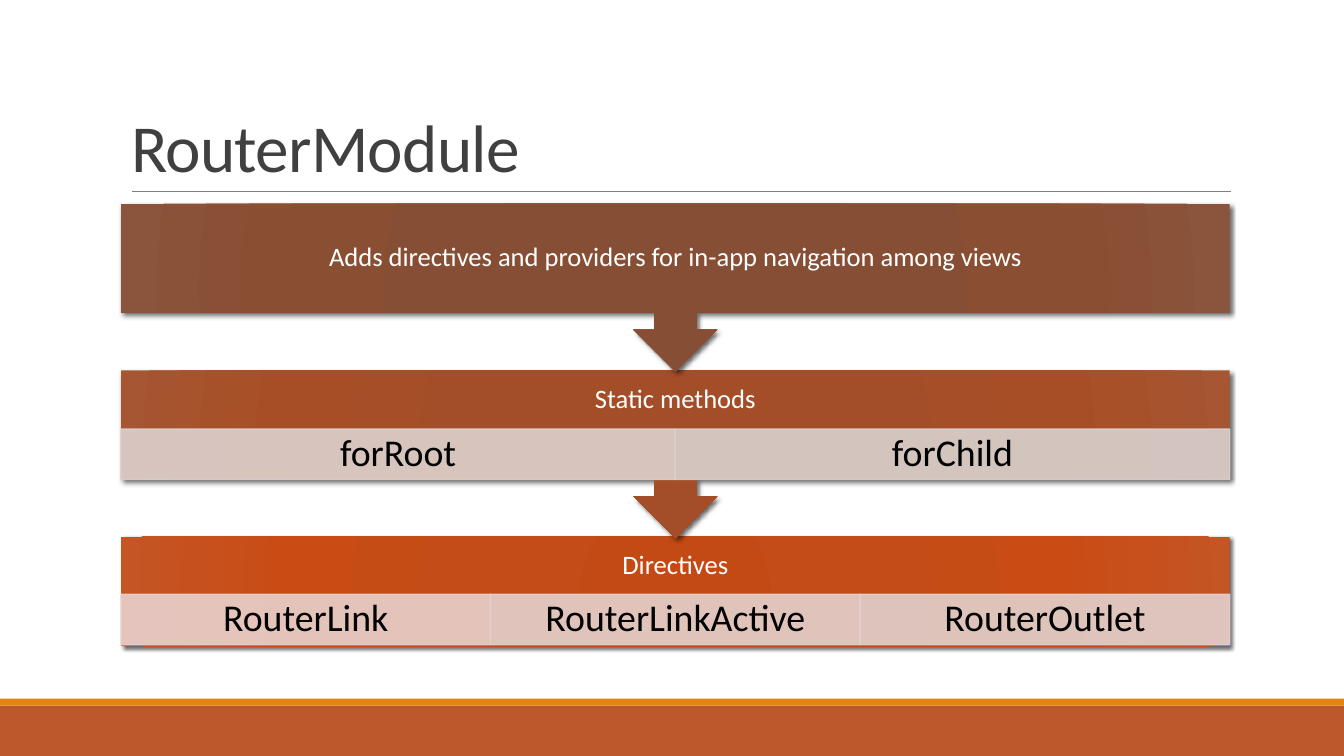
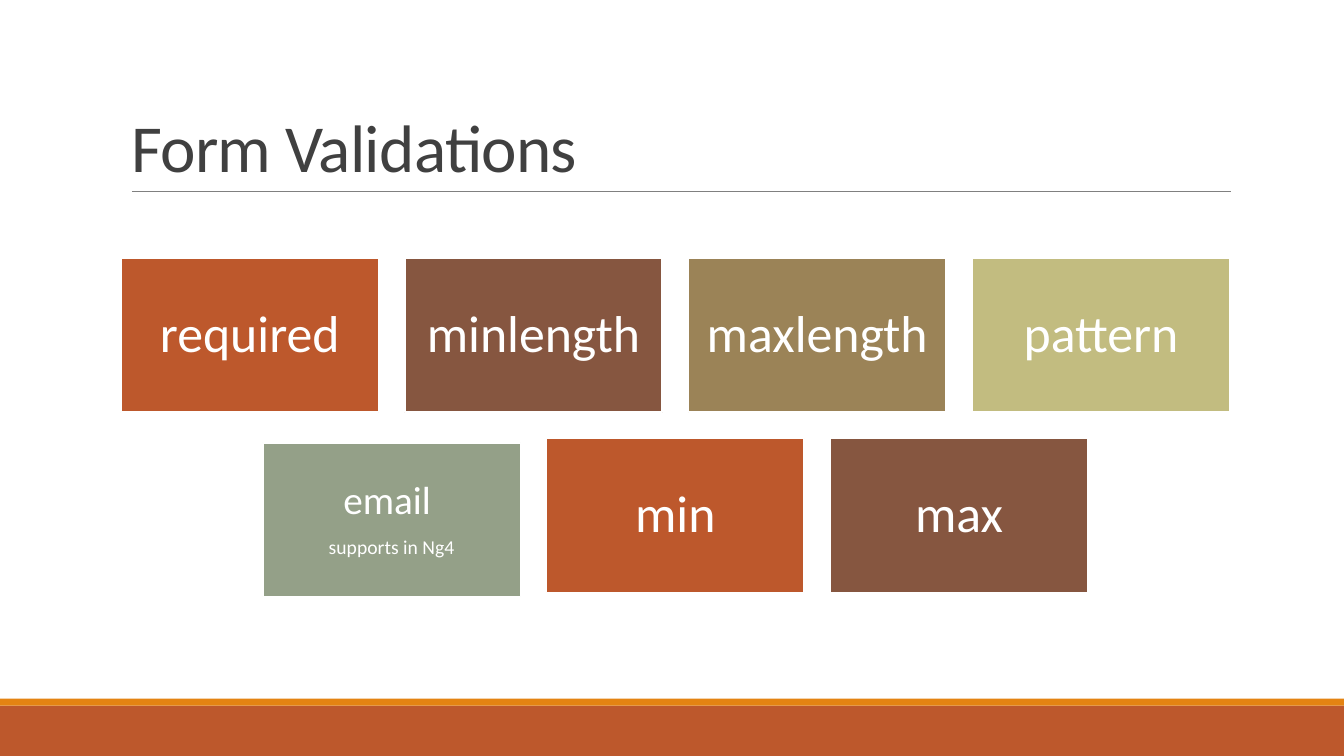
from lxml.etree import SubElement
from pptx import Presentation
from pptx.dml.color import RGBColor
from pptx.enum.shapes import MSO_CONNECTOR as Connector, MSO_SHAPE as Preset
from pptx.enum.text import MSO_ANCHOR as Anchor, MSO_AUTO_SIZE as AutoSize, PP_ALIGN as Align
from pptx.oxml.ns import qn
from pptx.util import Pt

FONT = "Calibri"
COLORS = {
    "title": "404040", "rule": "808080", "stripe": "E48312",
    "rust": "BD582C", "brown": "865640", "tan": "9B8357",
    "olive": "C2BC80", "sage": "94A088",
    "white": "FFFFFF", "black": "000000",
}
SLIDE_WIDTH, SLIDE_HEIGHT = 960, 540
LEFT, WIDTH = 86.4, 792
BODY_HEIGHT, CALLOUT_HEIGHT, CELL_HEIGHT = 78, 120, 36
STEP_TOP, STEP_PITCH = 145.5, 119
TILE_WIDTH, TILE_HEIGHT, TILE_TOP = 184, 110, 184.5

STEPS = [
    (Preset.DOWN_ARROW_CALLOUT, BODY_HEIGHT,
     "Adds directives and providers for in-app navigation among views",
     ["874C32", "864E34", "8A4E33", "8A553C"], []),
    (Preset.DOWN_ARROW_CALLOUT, 42, "Static methods",
     ["A44C25", "A34E28", "A84E26", "A65632"],
     [("forRoot", "DDD1CE"), ("forChild", "D9D1CF")]),
    (Preset.RECTANGLE, 41, "Directives",
     ["C44A15", "C34C18", "C94C15", "C45525"],
     [("RouterLink", "E8D1CD"), ("RouterLinkActive", "E4D1CD"), ("RouterOutlet", "E1D1CE")]),
]
TILE_ROWS = [
    [("rust", [("required", 37)], 0), ("brown", [("minlength", 37)], 0),
     ("tan", [("maxlength", 37)], 0), ("olive", [("pattern", 37)], 0)],
    [("sage", [("email ", 28), ("supports in Ng4", 14)], 3),
     ("rust", [("min", 37)], 0), ("brown", [("max", 37)], 0)],
]


def rgb(value):
    return RGBColor.from_string(value)


def add_box(page, preset, left, top, width, height, color, line=None, line_width=1):
    box = page.shapes.add_shape(preset, Pt(left), Pt(top), Pt(width), Pt(height))
    box.shadow.inherit = False
    box.fill.solid()
    box.fill.fore_color.rgb = rgb(color)
    if line:
        box.line.color.rgb = rgb(line)
        box.line.width = Pt(line_width)
    else:
        box.line.fill.background()
    return box


def format_para(para, size, color, spacing):
    para.line_spacing = spacing
    for span in para.runs:
        span.font.name = FONT
        span.font.size = Pt(size)
        span.font.color.rgb = rgb(color)


def write_text(box, lines, color, insets):
    frame = box.text_frame
    frame.word_wrap = True
    frame.vertical_anchor = Anchor.MIDDLE
    frame.margin_left, frame.margin_top, frame.margin_right, frame.margin_bottom = map(Pt, insets)
    frame.text = "\n".join(text for text, size in lines)
    for para, (text, size) in zip(frame.paragraphs, lines):
        para.alignment = Align.CENTER
        format_para(para, size, color, 0.9)
    for para, (text, size) in zip(frame.paragraphs[:-1], lines):
        para.space_after = Pt(0.35 * size)


def set_radial_fill(box, colors):
    properties = box._element.spPr
    gradient = properties.makeelement(qn("a:gradFill"), {"rotWithShape": "1"})
    stops = SubElement(gradient, qn("a:gsLst"))
    for position, color in zip((0, 34, 70, 100), colors):
        stop = SubElement(stops, qn("a:gs"), pos=str(position * 1000))
        SubElement(stop, qn("a:srgbClr"), val=color)
    shade = SubElement(gradient, qn("a:path"), {"path": "circle"})
    SubElement(shade, qn("a:fillToRect"), {side: "100000" for side in "ltrb"})
    properties.replace(properties.find(qn("a:solidFill")), gradient)


def set_shadow(box):
    effects = box._element.spPr.find(qn("a:effectLst"))
    shadow = SubElement(effects, qn("a:outerShdw"), blurRad=str(Pt(3)), dist=str(Pt(2)),
                        dir="2700000", rotWithShape="0")
    color = SubElement(shadow, qn("a:srgbClr"), val=COLORS["black"])
    SubElement(color, qn("a:alpha"), val="60000")


def set_opacity(box, percent):
    for color in box._element.spPr.iter(qn("a:srgbClr")):
        SubElement(color, qn("a:alpha"), val=str(percent * 1000))


def add_page(deck, title):
    page = deck.slides.add_slide(deck.slide_layouts[5])
    add_box(page, Preset.RECTANGLE, 0, 504, SLIDE_WIDTH, 36, COLORS["rust"])
    add_box(page, Preset.RECTANGLE, 0, 499, SLIDE_WIDTH, 5, COLORS["stripe"])
    rule = page.shapes.add_connector(Connector.STRAIGHT, Pt(94.3), Pt(136.8), Pt(879.1), Pt(136.8))
    rule.line.color.rgb = rgb(COLORS["rule"])
    rule.line.width = Pt(0.5)
    SubElement(rule._element.spPr, qn("a:effectLst"))

    heading = page.shapes.title
    heading.left, heading.top, heading.width, heading.height = map(Pt, (LEFT, 22.3, WIDTH, 114.5))
    frame = heading.text_frame
    frame.text = title
    frame.auto_size = AutoSize.NONE
    frame.vertical_anchor = Anchor.BOTTOM
    para = frame.paragraphs[0]
    para.alignment = Align.LEFT
    format_para(para, 48, COLORS["title"], 0.85)
    para.runs[0].font._element.set("spc", "-50")
    return page


def add_step(page, top, preset, header_height, label, colors, cells):
    height = CALLOUT_HEIGHT if preset == Preset.DOWN_ARROW_CALLOUT else BODY_HEIGHT
    box = add_box(page, preset, LEFT, top, WIDTH, height, colors[0])
    set_radial_fill(box, colors)
    set_shadow(box)
    write_text(box, [(label, 19)], COLORS["white"], (11, 0, 11, BODY_HEIGHT - header_height))
    for column, (text, color) in enumerate(cells):
        width = WIDTH / len(cells)
        cell = add_box(page, Preset.RECTANGLE, LEFT + column * width, top + header_height,
                       width, CELL_HEIGHT, color, color)
        set_opacity(cell, 90)
        write_text(cell, [(text, 27)], COLORS["black"], (15, 3, 15, 3))


def add_tiles(page, rows):
    columns = max(map(len, rows))
    gap = (WIDTH - columns * TILE_WIDTH) / (columns - 1)
    for row, tiles in enumerate(rows):
        row_width = len(tiles) * (TILE_WIDTH + gap) - gap
        left = LEFT + (WIDTH - row_width) / 2
        top = TILE_TOP + row * (TILE_HEIGHT + gap)
        for column, (color, lines, drop) in enumerate(tiles):
            tile = add_box(page, Preset.RECTANGLE, left + column * (TILE_WIDTH + gap), top + drop,
                           TILE_WIDTH, TILE_HEIGHT, COLORS[color], COLORS["white"], 1.25)
            write_text(tile, lines, COLORS["white"], (10, 10, 10, 10))


def main():
    deck = Presentation()
    deck.slide_width, deck.slide_height = Pt(SLIDE_WIDTH), Pt(SLIDE_HEIGHT)

    page = add_page(deck, "RouterModule")
    for index, step in reversed(list(enumerate(STEPS))):
        add_step(page, STEP_TOP + index * STEP_PITCH, *step)

    add_tiles(add_page(deck, "Form Validations"), TILE_ROWS)
    deck.save("out.pptx")


if __name__ == "__main__":
    main()
